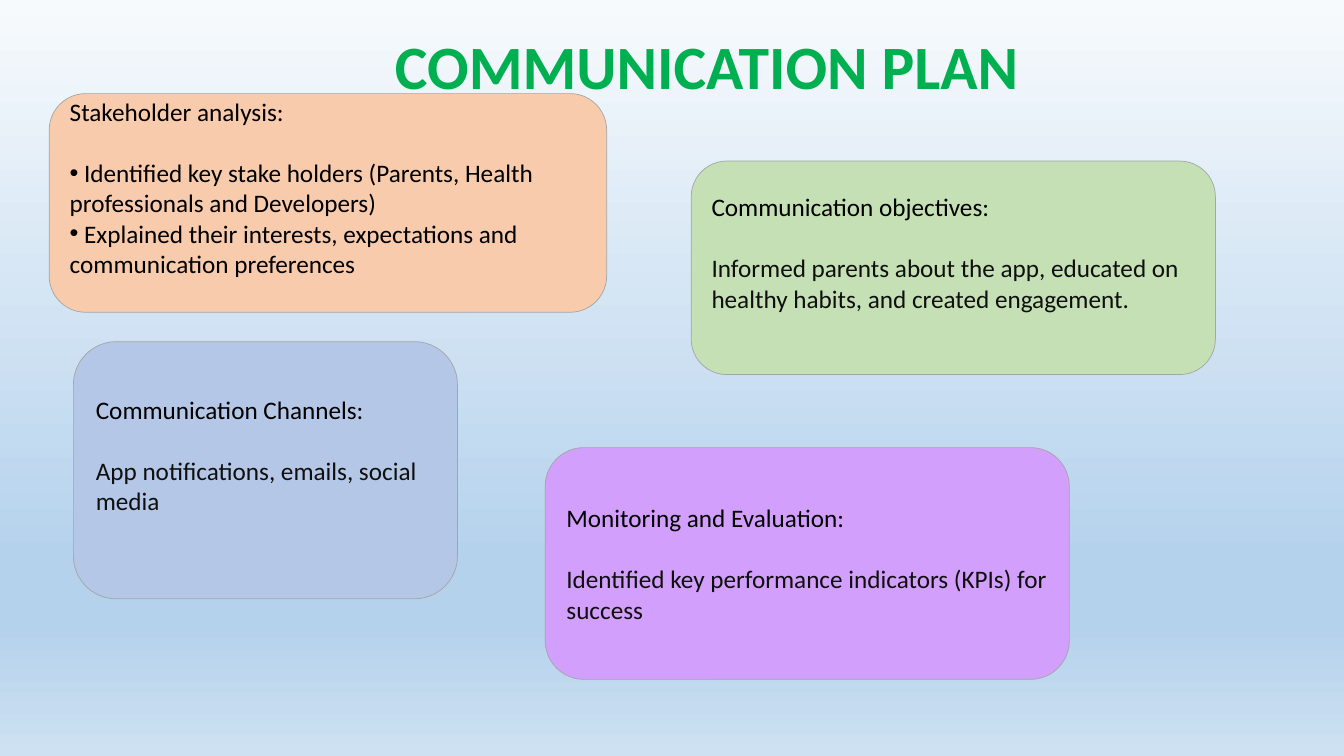
import copy
from dataclasses import dataclass

import lxml.etree
import pptx
import pptx.dml.color
import pptx.enum.shapes
import pptx.enum.text
import pptx.oxml.ns
import pptx.slide
import pptx.text.text
import pptx.util

Cm = pptx.util.Cm
Pt = pptx.util.Pt
qn = pptx.oxml.ns.qn


@dataclass(frozen=True)
class Theme:
    font: str = "Calibri"
    title: str = "00B050"
    head: str = "000000"
    body: str = "0F0F0F"
    edge: str = "A5A5A5"
    peach: str = "F8CBAD"
    green: str = "C5E0B4"
    blue: str = "B4C7E7"
    violet: str = "D2A0FC"
    sky: tuple[tuple[float, str], ...] = (
        (0, "F7FAFD"), (0.74, "B5D2EC"), (0.83, "B5D2EC"), (1, "CEE1F2"))
    title_size: int = 44
    text_size: int = 18
    line_gap: int = 22
    edge_width: float = 0.5


@dataclass(frozen=True)
class Card:
    left: float
    top: float
    width: float
    height: float
    fill: str
    head: str
    lines: tuple[str, ...]
    bullets: bool = False
    raised: bool = True


THEME = Theme()

CARDS = (
    Card(1.24, 2.36, 14.05, 5.51, THEME.peach, "Stakeholder analysis:",
         (" Identified key stake holders (Parents, Health professionals and Developers)",
          " Explained their interests, expectations and communication preferences"),
         bullets=True),
    Card(17.42, 4.06, 13.21, 5.38, THEME.green, "Communication objectives:",
         ("Informed parents about the app, educated on healthy habits, and created engagement.",)),
    Card(1.85, 8.61, 9.68, 6.48, THEME.blue, "Communication Channels:",
         ("App notifications, emails, social media",)),
    Card(13.74, 11.28, 13.21, 5.84, THEME.violet, "Monitoring and Evaluation:",
         ("Identified key performance indicators (KPIs) for success",), raised=False),
)


def rgb(code: str) -> pptx.dml.color.RGBColor:
    return pptx.dml.color.RGBColor.from_string(code)


def style(para: pptx.text.text._Paragraph, size: int, color: str, bold: bool = False) -> None:
    para.alignment = pptx.enum.text.PP_ALIGN.LEFT
    for run in para.runs:
        run.font.name = THEME.font
        run.font.size = Pt(size)
        run.font.bold = bold
        run.font.color.rgb = rgb(color)


def add_bullet(para: pptx.text.text._Paragraph) -> None:
    props = para._p.get_or_add_pPr()
    props.set("marL", "0")
    props.set("indent", "0")
    lxml.etree.SubElement(props, qn("a:buFont")).set("typeface", "Arial")
    lxml.etree.SubElement(props, qn("a:buChar")).set("char", "•")


def set_frame(frame: pptx.text.text.TextFrame, raised: bool) -> None:
    frame.word_wrap = True
    frame.auto_size = pptx.enum.text.MSO_AUTO_SIZE.NONE
    frame.vertical_anchor = pptx.enum.text.MSO_ANCHOR.MIDDLE
    if raised:
        frame.margin_bottom = Cm(0.13) + Pt(THEME.line_gap)


def paint_sky(slide: pptx.slide.Slide) -> None:
    fill = slide.background.fill
    fill.gradient()
    fill.gradient_angle = 270
    stops = next(slide.element.iter(qn("a:gsLst")))
    while len(stops) < len(THEME.sky):
        stops.append(copy.deepcopy(stops[0]))
    for stop, (place, color) in zip(fill.gradient_stops, THEME.sky):
        stop.position = place
        stop.color.rgb = rgb(color)


def add_title(slide: pptx.slide.Slide, text: str) -> None:
    title = slide.shapes.title
    title.left, title.top, title.width, title.height = map(Cm, (9.7, 0.58, 19.76, 2.9))
    set_frame(title.text_frame, True)
    title.text_frame.text = text
    style(title.text_frame.paragraphs[0], THEME.title_size, THEME.title, True)


def add_card(slide: pptx.slide.Slide, card: Card) -> None:
    shape = slide.shapes.add_shape(
        pptx.enum.shapes.MSO_SHAPE.ROUNDED_RECTANGLE,
        Cm(card.left), Cm(card.top), Cm(card.width), Cm(card.height))
    shape.shadow.inherit = False
    shape.fill.solid()
    shape.fill.fore_color.rgb = rgb(card.fill)
    shape.line.color.rgb = rgb(THEME.edge)
    shape.line.width = Pt(THEME.edge_width)
    frame = shape.text_frame
    set_frame(frame, card.raised)
    frame.text = card.head
    style(frame.paragraphs[0], THEME.text_size, THEME.head)
    for index, line in enumerate(card.lines):
        para = frame.add_paragraph()
        para.text = line
        if card.bullets:
            add_bullet(para)
        if index == 0:
            para.space_before = Pt(THEME.line_gap)
        style(para, THEME.text_size, THEME.head if card.bullets else THEME.body)


def main() -> None:
    deck = pptx.Presentation()
    deck.slide_width, deck.slide_height = Cm(33.87), Cm(19.05)
    slide = deck.slides.add_slide(deck.slide_layouts.get_by_name("Title Only"))
    paint_sky(slide)
    add_title(slide, "COMMUNICATION PLAN")
    for card in CARDS:
        add_card(slide, card)
    deck.save("out.pptx")


if __name__ == "__main__":
    main()
